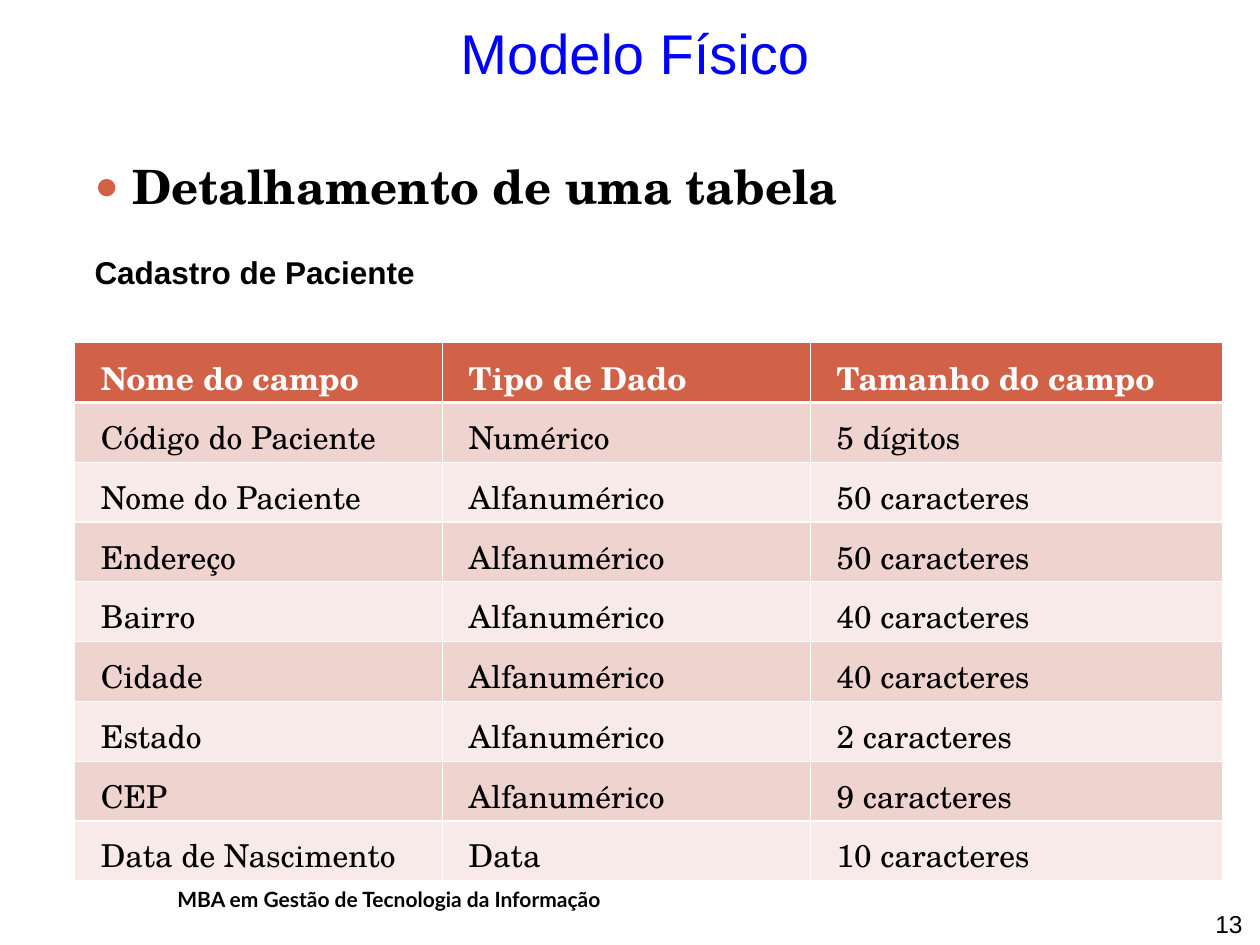
from dataclasses import dataclass

from lxml import etree
from pptx import Presentation
from pptx import util as u
from pptx.dml.color import RGBColor
from pptx.enum import text
from pptx.oxml import ns


@dataclass(frozen=True)
class Theme:
    ink: str = "000000"
    blue: str = "0000FF"
    accent: str = "D16248"
    white: str = "FFFFFF"
    bands: tuple = ("EED3CF", "F7EAE9")
    sans: str = "Arial"
    serif: str = "TeX Gyre Schola"
    footer: str = "Lato"
    title_size: float = 32
    topic_size: float = 27
    body_size: float = 18
    number_size: float = 14
    footer_size: float = 12
    grid_width: float = 0.75
    header_rule: float = 2.1


class SlideBuilder:
    def __init__(self, slide, theme):
        self.slide = slide
        self.theme = theme

    def apply(self, target, formats):
        for name, value in formats.items():
            setattr(target, name, value)

    def child(self, parent, tag, **attributes):
        return etree.SubElement(parent, ns.qn(tag), attributes)

    def place(self, shape, box):
        names = ("left", "top", "width", "height")
        self.apply(shape, dict(zip(names, map(u.Inches, box))))

    def frame(self, holder, margins, anchor):
        names = ("margin_left", "margin_top", "margin_right", "margin_bottom")
        self.apply(holder, dict(zip(names, map(u.Inches, margins))))
        holder.vertical_anchor = anchor

    def add_words(self, paragraph, words, face, size, color, bold=False,
                  align=text.PP_ALIGN.LEFT, before=0):
        run = paragraph.add_run()
        run.text = words
        self.apply(paragraph, {"alignment": align, "space_before": u.Pt(before)})
        self.apply(run.font, {"name": face, "size": u.Pt(size), "bold": bold})
        run.font.color.rgb = RGBColor.from_string(color)

    def placeholder(self, index, box):
        holder = self.slide.placeholders[index]
        self.place(holder, box)
        frame = holder.text_frame
        self.frame(frame, (0, 0.02, 0, 0), text.MSO_ANCHOR.TOP)
        self.apply(frame, {"word_wrap": True, "auto_size": text.MSO_AUTO_SIZE.NONE})
        return frame

    def title(self, words, box):
        t = self.theme
        heading = self.placeholder(0, box).paragraphs[0]
        self.add_words(heading, words, t.sans, t.title_size, t.blue,
                       align=text.PP_ALIGN.CENTER)

    def hang(self, paragraph, bullet=None):
        properties = paragraph._p.get_or_add_pPr()
        self.apply(paragraph, {"space_before": u.Pt(0)})
        properties.set("marL", str(u.Inches(0.31)))
        properties.set("indent", str(u.Inches(-0.3)))
        if bullet is None:
            self.child(properties, "a:buNone")
            return
        color = self.child(properties, "a:buClr")
        self.child(color, "a:srgbClr", val=self.theme.accent)
        self.child(properties, "a:buSzPct", val="85000")
        self.child(properties, "a:buFont", typeface=self.theme.sans)
        self.child(properties, "a:buChar", char=bullet)

    def body(self, topic, caption, box):
        t = self.theme
        frame = self.placeholder(1, box)
        first, second = frame.paragraphs[0], frame.add_paragraph()
        self.hang(first, "●")
        self.add_words(first, topic, t.serif, t.topic_size, t.ink, bold=True)
        self.hang(second)
        self.add_words(second, caption, t.sans, t.body_size, t.ink, bold=True,
                       before=22)

    def label(self, words, box, anchor, wrap, **style):
        frame = self.slide.shapes.add_textbox(*map(u.Inches, box)).text_frame
        self.frame(frame, (0.1, 0.05, 0.1, 0.05), anchor)
        frame.word_wrap = wrap
        self.add_words(frame.paragraphs[0], words, color=self.theme.ink, **style)

    def borders(self, cell, top, bottom):
        properties = cell._tc.get_or_add_tcPr()
        side = self.theme.grid_width
        widths = {"a:lnL": side, "a:lnR": side, "a:lnT": top, "a:lnB": bottom}
        for tag, width in widths.items():
            line = self.child(properties, tag, w=str(u.Pt(width)))
            fill = self.child(line, "a:solidFill")
            self.child(fill, "a:srgbClr", val=self.theme.white)

    def table(self, rows, box, widths):
        t = self.theme
        grid = self.slide.shapes.add_table(
            len(rows), len(widths), *map(u.Inches, box)).table
        for column, width in zip(grid.columns, widths):
            column.width = u.Inches(width)
        for r, row in enumerate(rows):
            header = r == 0
            top = t.header_rule if r == 1 else t.grid_width
            bottom = t.header_rule if header else t.grid_width
            fill = t.accent if header else t.bands[(r - 1) % 2]
            for c, words in enumerate(row):
                cell = grid.cell(r, c)
                self.frame(cell, (0.21, 0.09, 0.1, 0.05), text.MSO_ANCHOR.TOP)
                self.borders(cell, top, bottom)
                cell.fill.solid()
                cell.fill.fore_color.rgb = RGBColor.from_string(fill)
                self.add_words(cell.text_frame.paragraphs[0], words, t.serif,
                               t.body_size, t.white if header else t.ink,
                               bold=header)


def main():
    deck = Presentation()
    deck.slide_width, deck.slide_height = u.Inches(10), u.Inches(7.5)
    theme = Theme()
    page = SlideBuilder(deck.slides.add_slide(deck.slide_layouts[1]), theme)

    page.label("MBA em Gestão de Tecnologia da Informação", (1.31, 6.99, 3.97, 0.3),
               text.MSO_ANCHOR.MIDDLE, False,
               face=theme.footer, size=theme.footer_size, bold=True)
    page.label("13", (9.45, 7.19, 0.51, 0.31), text.MSO_ANCHOR.BOTTOM, True,
               face=theme.sans, size=theme.number_size, align=text.PP_ALIGN.RIGHT)
    page.title("Modelo Físico", (2.5, 0.13, 5.08, 0.55))
    page.body("Detalhamento de uma tabela", "Cadastro de Paciente",
              (0.74, 1.23, 6.86, 1.07))

    fields = [
        ("Nome do campo", "Tipo de Dado", "Tamanho do campo"),
        ("Código do Paciente", "Numérico", "5 dígitos"),
        ("Nome do Paciente", "Alfanumérico", "50 caracteres"),
        ("Endereço", "Alfanumérico", "50 caracteres"),
        ("Bairro", "Alfanumérico", "40 caracteres"),
        ("Cidade", "Alfanumérico", "40 caracteres"),
        ("Estado", "Alfanumérico", "2 caracteres"),
        ("CEP", "Alfanumérico", "9 caracteres"),
        ("Data de Nascimento", "Data", "10 caracteres"),
    ]
    page.table(fields, (0.59, 2.72, 9.11, 4.27), (2.92, 2.92, 3.27))
    deck.save("out.pptx")


if __name__ == "__main__":
    main()
